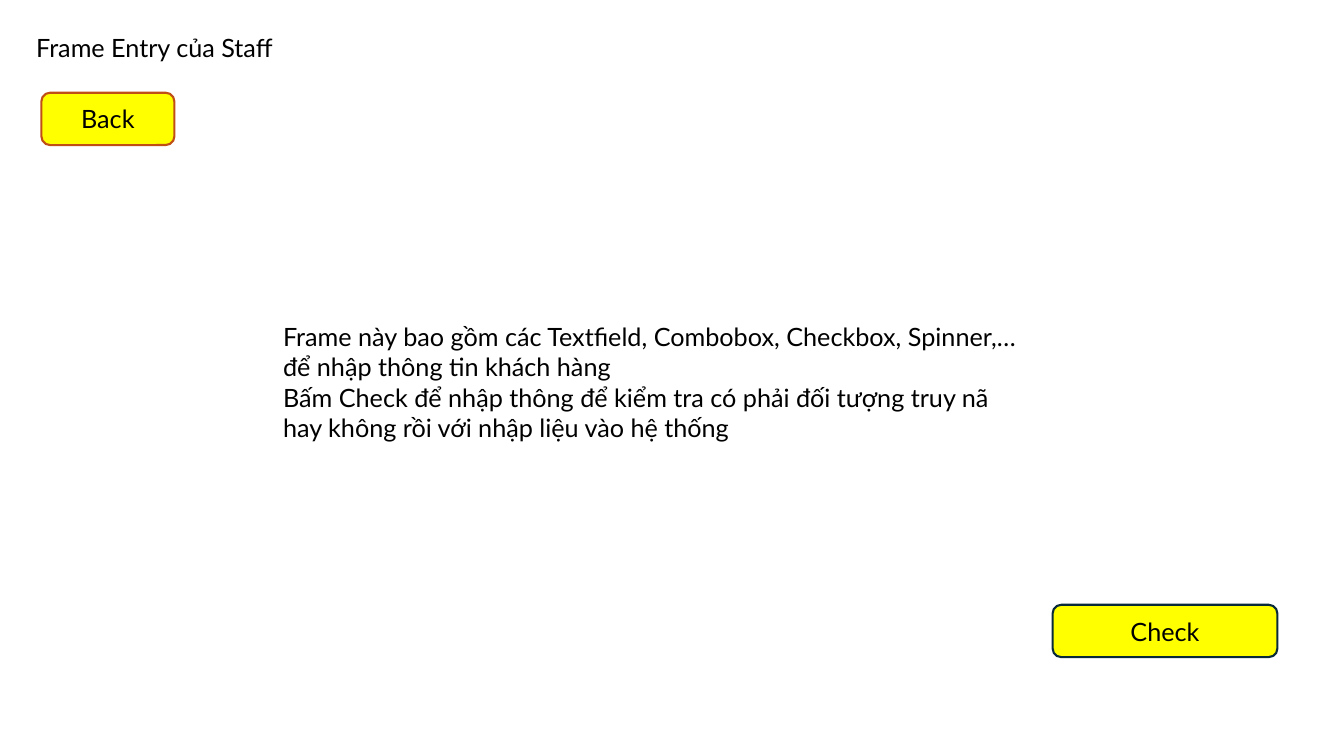
from dataclasses import dataclass

from pptx import Presentation
from pptx.dml.color import RGBColor
from pptx.enum.shapes import MSO_SHAPE
from pptx.enum.text import MSO_ANCHOR, MSO_AUTO_SIZE, PP_ALIGN
from pptx.slide import Slide
from pptx.text.text import TextFrame
from pptx.util import Inches, Pt

FONT = "Lato"
TEXT_SIZE = 18
BLACK = "000000"
YELLOW = "FFFF00"
COLUMN = 13.33 / 100
ROW = 7.5 / 100


@dataclass(frozen=True)
class Area:
    column: float
    row: float
    columns: float
    rows: float

    def lengths(self) -> tuple[int, int, int, int]:
        return (
            Inches(self.column * COLUMN),
            Inches(self.row * ROW),
            Inches(self.columns * COLUMN),
            Inches(self.rows * ROW),
        )


@dataclass(frozen=True)
class Note:
    area: Area
    paragraphs: tuple[str, ...]


@dataclass(frozen=True)
class Button:
    area: Area
    label: str
    outline: str


NOTES = (
    Note(Area(1.95, 3.6, 31.28, 5.33), ("Frame Entry của Staff",)),
    Note(
        Area(20.33, 41.87, 56.04, 17.47),
        (
            "Frame này bao gồm các Textfield, Combobox, Checkbox, Spinner,… "
            "để nhập thông tin khách hàng",
            "Bấm Check để nhập thông để kiểm tra có phải đối tượng truy nã "
            "hay không rồi với nhập liệu vào hệ thống",
        ),
    ),
)

BUTTONS = (
    Button(Area(3.08, 12.27, 9.9, 6.93), "Back", "C04F15"),
    Button(Area(78.32, 80, 16.73, 6.93), "Check", "092A39"),
)


def color(value: str) -> RGBColor:
    return RGBColor.from_string(value)


def write(frame: TextFrame, paragraphs: tuple[str, ...], alignment: PP_ALIGN) -> None:
    frame.word_wrap = True
    for index, text in enumerate(paragraphs):
        para = frame.add_paragraph() if index else frame.paragraphs[0]
        para.text = text
        para.alignment = alignment
        para.font.name = FONT
        para.font.size = Pt(TEXT_SIZE)
        para.font.color.rgb = color(BLACK)


def draw_note(page: Slide, note: Note) -> None:
    box = page.shapes.add_textbox(*note.area.lengths())
    write(box.text_frame, note.paragraphs, PP_ALIGN.LEFT)
    box.text_frame.auto_size = MSO_AUTO_SIZE.SHAPE_TO_FIT_TEXT


def draw_button(page: Slide, button: Button) -> None:
    shape = page.shapes.add_shape(MSO_SHAPE.ROUNDED_RECTANGLE, *button.area.lengths())
    shape.shadow.inherit = False
    shape.fill.solid()
    shape.fill.fore_color.rgb = color(YELLOW)
    shape.line.color.rgb = color(button.outline)
    shape.line.width = Pt(1.5)
    shape.text_frame.vertical_anchor = MSO_ANCHOR.MIDDLE
    write(shape.text_frame, (button.label,), PP_ALIGN.CENTER)


def main() -> None:
    deck = Presentation()
    deck.slide_width = Inches(13.33)
    deck.slide_height = Inches(7.5)
    page = deck.slides.add_slide(deck.slide_layouts[6])
    for note in NOTES:
        draw_note(page, note)
    for button in BUTTONS:
        draw_button(page, button)
    deck.save("out.pptx")


if __name__ == "__main__":
    main()
